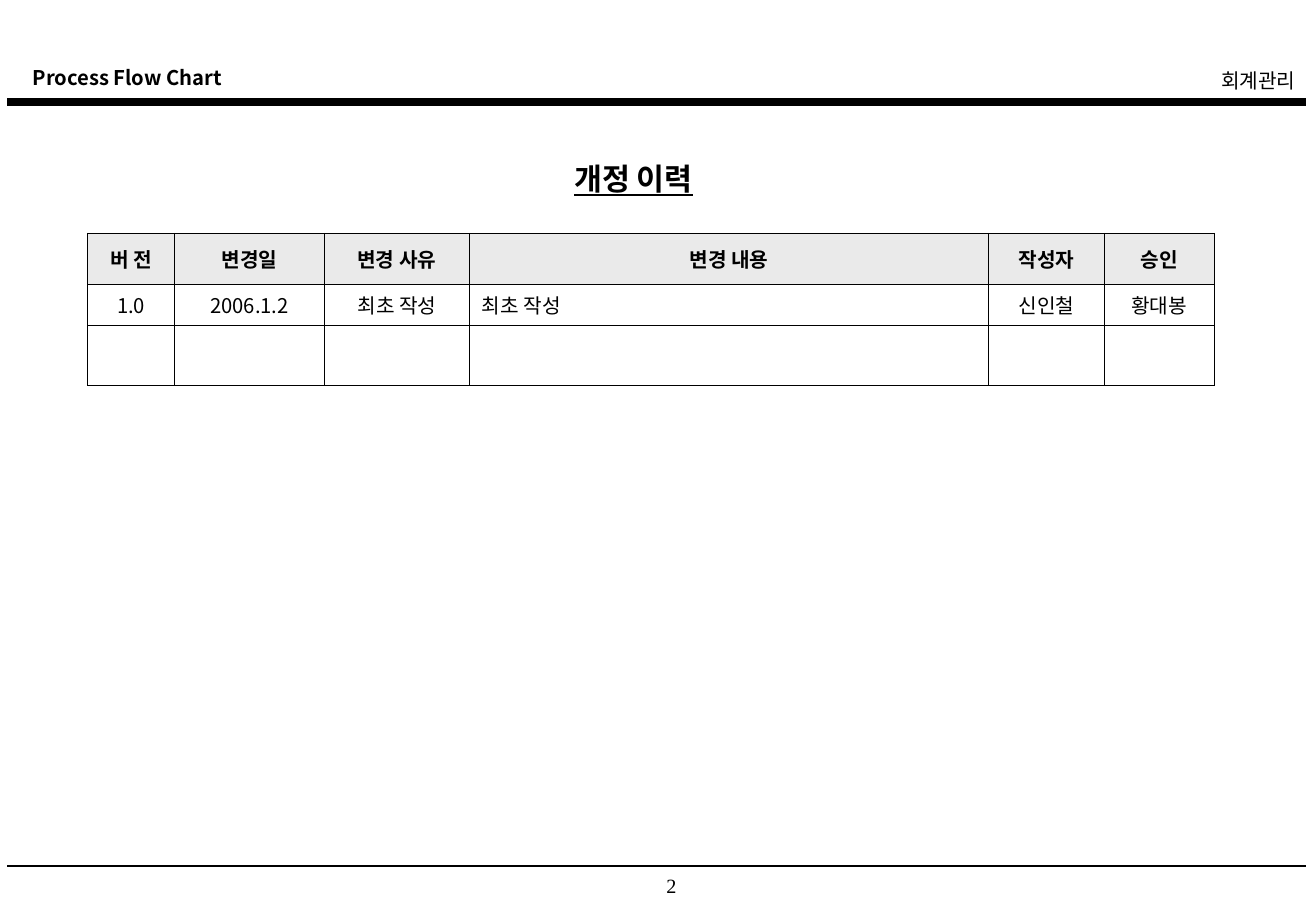
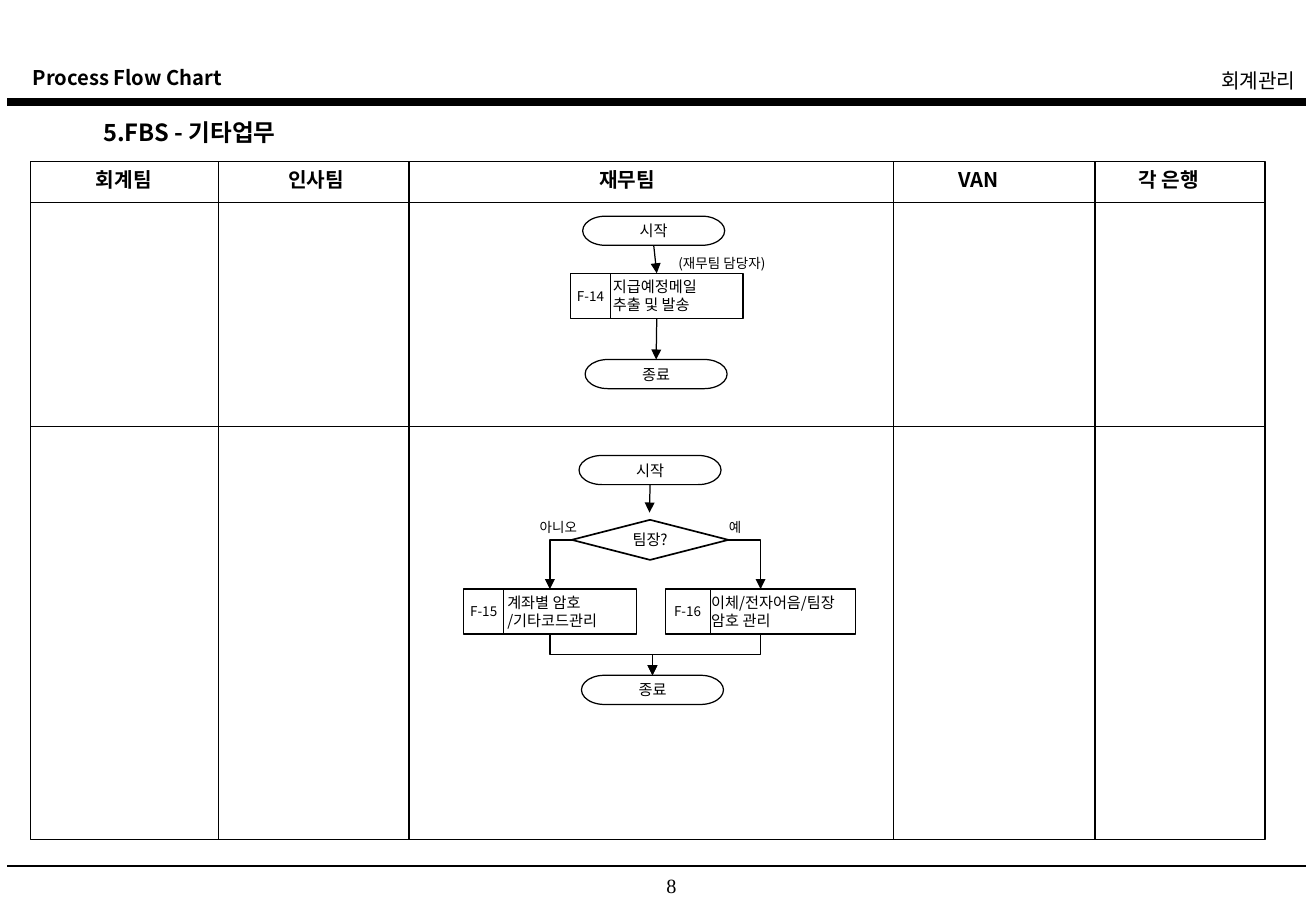
from dataclasses import dataclass

from lxml.etree import SubElement
from pptx import Presentation
from pptx.dml.color import RGBColor
from pptx.enum.shapes import MSO_CONNECTOR, MSO_SHAPE
from pptx.enum.text import MSO_ANCHOR, MSO_AUTO_SIZE, PP_ALIGN
from pptx.oxml.ns import qn
from pptx.util import Inches, Pt


@dataclass(frozen=True)
class Theme:
    ink: RGBColor = RGBColor(0, 0, 0)
    header_fill: RGBColor = RGBColor(0xEA, 0xEA, 0xEA)
    font: str = "Noto Sans CJK KR"
    number_font: str = "Times New Roman"
    heading: int = 18
    section: int = 14
    body: int = 12
    step: int = 9
    label: int = 8
    thin: float = 0.75
    border: float = 0.45


theme = Theme()


def write(frame, text, size, bold=False, align=PP_ALIGN.LEFT, anchor=MSO_ANCHOR.TOP,
          inset=(0.1, 0.05), font=theme.font, wrap=True):
    frame.auto_size = MSO_AUTO_SIZE.NONE
    frame.word_wrap = wrap
    frame.vertical_anchor = anchor
    frame.margin_left = frame.margin_right = Inches(inset[0])
    frame.margin_top = frame.margin_bottom = Inches(inset[1])
    frame.text = text
    for paragraph in frame.paragraphs:
        paragraph.alignment = align
        paragraph.font.size = Pt(size)
        paragraph.font.bold = bold
        paragraph.font.color.rgb = theme.ink
        paragraph.font.name = font
        SubElement(paragraph._p.pPr.find(qn("a:defRPr")), qn("a:ea"), typeface=font)


def draw_line(slide, start, end, width=theme.thin, arrow=False, kind=MSO_CONNECTOR.STRAIGHT):
    connector = slide.shapes.add_connector(kind, *map(Inches, start + end))
    connector.line.color.rgb = theme.ink
    connector.line.width = Pt(width)
    properties = connector.element.spPr
    if arrow:
        SubElement(properties.find(qn("a:ln")), qn("a:tailEnd"), type="triangle")
    SubElement(properties, qn("a:effectLst"))
    return connector


prs = Presentation()
prs.slide_width, prs.slide_height = Inches(10.84), Inches(7.5)
layout = prs.slide_layouts[5]
history = prs.slides.add_slide(layout)
flow = prs.slides.add_slide(layout)

document_name = history.shapes.add_textbox(Inches(0.17), Inches(0.49), Inches(4.35), Inches(0.3))
write(document_name.text_frame, "Process Flow Chart", theme.body, bold=True)
department = history.shapes.add_textbox(Inches(6.08), Inches(0.51), Inches(4.69), Inches(0.5))
write(department.text_frame, "회계관리", theme.body, align=PP_ALIGN.RIGHT)
header_rule = draw_line(history, (0.06, 0.84), (10.76, 0.84), 4.5)
footer_rule = draw_line(history, (0.06, 7.13), (10.76, 7.13), 1)
for shared in (document_name, department, header_rule, footer_rule):
    layout.shapes.element.append(shared.element)

for slide, title, box, size, number in (
    (history, "개정 이력", (4.63, 1.27, 1.53, 0.4), theme.heading, "2"),
    (flow, "5.FBS - 기타업무", (0.75, 0.92, 2.3, 0.34), theme.section, "8"),
):
    heading = slide.shapes.title
    heading.left, heading.top, heading.width, heading.height = map(Inches, box)
    write(heading.text_frame, title, size, bold=True)
    page = slide.shapes.add_textbox(Inches(5.02), Inches(7.14), Inches(0.78), Inches(0.27))
    write(page.text_frame, number, theme.body, align=PP_ALIGN.CENTER, font=theme.number_font)
    page.text_frame.margin_left = Inches(0.34)
history.shapes.title.text_frame.paragraphs[0].font.underline = True

revisions = (
    ("버 전", "변경일", "변경 사유", "변경 내용", "작성자", "승인"),
    ("1.0", "2006.1.2", "최초 작성", "최초 작성", "신인철", "황대봉"),
    ("",) * 6,
)
column_widths = (0.72, 1.23, 1.2, 4.27, 0.96, 0.9)
row_heights = (0.42, 0.34, 0.49)
revision_table = history.shapes.add_table(
    len(revisions), len(column_widths), Inches(0.72), Inches(1.92),
    Inches(sum(column_widths)), Inches(sum(row_heights))).table
for column, width in zip(revision_table.columns, column_widths):
    column.width = Inches(width)
for row_index, (values, height) in enumerate(zip(revisions, row_heights)):
    revision_table.rows[row_index].height = Inches(height)
    for column_index, value in enumerate(values):
        cell = revision_table.cell(row_index, column_index)
        is_header = row_index == 0
        centred = is_header or column_index != 3
        if value:
            write(cell.text_frame, value, theme.body, bold=is_header,
                  align=PP_ALIGN.CENTER if centred else PP_ALIGN.LEFT)
        cell.vertical_anchor = MSO_ANCHOR.MIDDLE
        cell_properties = cell._tc.get_or_add_tcPr()
        for side in ("a:lnL", "a:lnR", "a:lnT", "a:lnB"):
            edge = SubElement(cell_properties, qn(side), w=str(Pt(theme.border)))
            SubElement(SubElement(edge, qn("a:solidFill")), qn("a:srgbClr"), val=str(theme.ink))
        if is_header:
            cell.fill.solid()
            cell.fill.fore_color.rgb = theme.header_fill
        else:
            cell.fill.background()

lane_left, lane_top, lane_right, lane_bottom = 0.25, 1.33, 10.42, 6.91
outlines = {}
for key, preset, box, width, text in (
    ("lanes", MSO_SHAPE.RECTANGLE,
     (lane_left, lane_top, lane_right - lane_left, lane_bottom - lane_top), theme.thin, ""),
    ("mail start", MSO_SHAPE.FLOWCHART_TERMINATOR, (4.8, 1.78, 1.17, 0.24), theme.thin, "시작"),
    ("mail end", MSO_SHAPE.FLOWCHART_TERMINATOR, (4.82, 2.96, 1.17, 0.24), theme.thin, "종료"),
    ("code start", MSO_SHAPE.FLOWCHART_TERMINATOR, (4.77, 3.75, 1.17, 0.24), theme.thin, "시작"),
    ("code end", MSO_SHAPE.FLOWCHART_TERMINATOR, (4.79, 5.56, 1.17, 0.24), theme.thin, "종료"),
    ("leader", MSO_SHAPE.DIAMOND, (4.71, 4.28, 1.29, 0.33), 1, "팀장?"),
    ("F-14", MSO_SHAPE.FLOWCHART_PROCESS, (4.7, 2.25, 1.42, 0.37), theme.thin, ""),
    ("F-15", MSO_SHAPE.FLOWCHART_PROCESS, (3.82, 4.85, 1.42, 0.37), theme.thin, ""),
    ("F-16", MSO_SHAPE.FLOWCHART_PROCESS, (5.48, 4.85, 1.57, 0.37), theme.thin, ""),
):
    outline = flow.shapes.add_shape(preset, *map(Inches, box))
    outline.shadow.inherit = False
    outline.fill.background()
    outline.line.color.rgb = theme.ink
    outline.line.width = Pt(width)
    if text:
        write(outline.text_frame, text, theme.step, align=PP_ALIGN.CENTER,
              anchor=MSO_ANCHOR.MIDDLE, wrap=False)
    outlines[key] = outline

for y in (1.67, 3.51):
    draw_line(flow, (lane_left, y), (lane_right, y))
for x in (1.8, 3.37, 7.36, 9.02):
    draw_line(flow, (x, lane_top), (x, lane_bottom))
for team, left, width in (
    ("회계팀", 0.25, 1.54), ("인사팀", 1.95, 1.31), ("재무팀", 4, 2.33),
    ("VAN", 7.1, 1.92), ("각 은행", 8.88, 1.5),
):
    lane_name = flow.shapes.add_textbox(Inches(left), Inches(lane_top), Inches(width), Inches(0.3))
    write(lane_name.text_frame, team, theme.body, bold=True, align=PP_ALIGN.CENTER)

for code, task, left, top, code_width, task_offset, task_width in (
    ("F-14", "지급예정메일\n추출 및 발송", 4.7, 2.25, 0.33, 0.25, 1.25),
    ("F-15", "계좌별 암호\n/기타코드관리", 3.82, 4.85, 0.33, 0.26, 1.25),
    ("F-16", "이체/전자어음/팀장\n암호 관리", 5.48, 4.85, 0.37, 0.28, 1.39),
):
    for text, x, width, size, align, inset in (
        (code, left, code_width, theme.label, PP_ALIGN.CENTER, (0, 0)),
        (task, left + task_offset, task_width, theme.step, PP_ALIGN.LEFT, (0.1, 0)),
    ):
        step_text = flow.shapes.add_textbox(Inches(x), Inches(top), Inches(width), Inches(0.37))
        write(step_text.text_frame, text, size, align=align, anchor=MSO_ANCHOR.MIDDLE, inset=inset)
    divider = left + code_width
    draw_line(flow, (divider, top), (divider, top + 0.37))

for note, left, top, width, align in (
    ("(재무팀 담당자)", 5.49, 2.05, 1.1, PP_ALIGN.LEFT),
    ("아니오", 4.16, 4.22, 0.88, PP_ALIGN.CENTER),
    ("예", 5.89, 4.22, 0.33, PP_ALIGN.CENTER),
):
    note_box = flow.shapes.add_textbox(Inches(left), Inches(top), Inches(width), Inches(0.24))
    write(note_box.text_frame, note, theme.label, align=align)

for source, target in (("mail start", "F-14"), ("F-14", "mail end")):
    arrow = draw_line(flow, (5.4, 2), (5.4, 3), arrow=True)
    arrow.begin_connect(outlines[source], 2)
    arrow.end_connect(outlines[target], 0)
question_arrow = draw_line(flow, (5.35, 3.99), (5.35, 4.22), arrow=True)
question_arrow.begin_connect(outlines["code start"], 2)

for code, side in (("F-15", 1), ("F-16", 3)):
    branch = draw_line(flow, (5, 4), (6, 5), arrow=True, kind=MSO_CONNECTOR.ELBOW)
    branch.begin_connect(outlines["leader"], side)
    branch.end_connect(outlines[code], 0)
    branch.element.spPr.find(qn("a:prstGeom")).set("prst", "bentConnector2")

    merge = draw_line(flow, (5, 5), (6, 6), arrow=True, kind=MSO_CONNECTOR.ELBOW)
    merge.begin_connect(outlines[code], 2)
    merge.end_connect(outlines["code end"], 0)
    span, drop = merge.width, merge.height
    merge.left += (span - drop) // 2
    merge.top += (drop - span) // 2
    merge.width, merge.height = drop, span
    turn = merge.element.spPr.find(qn("a:xfrm"))
    turn.set("rot", "5400000")
    turn.set("flipH", "0")
    turn.set("flipV", "1" if code == "F-15" else "0")

prs.save("out.pptx")
